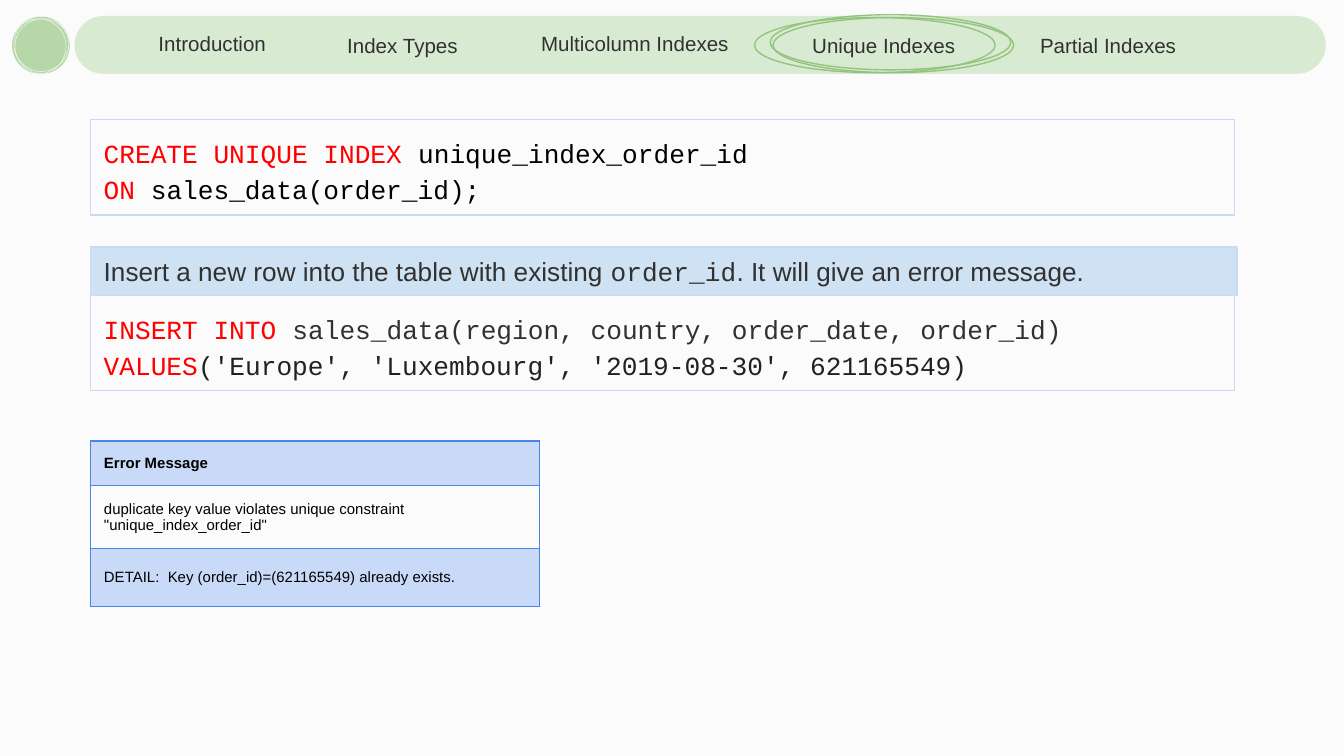
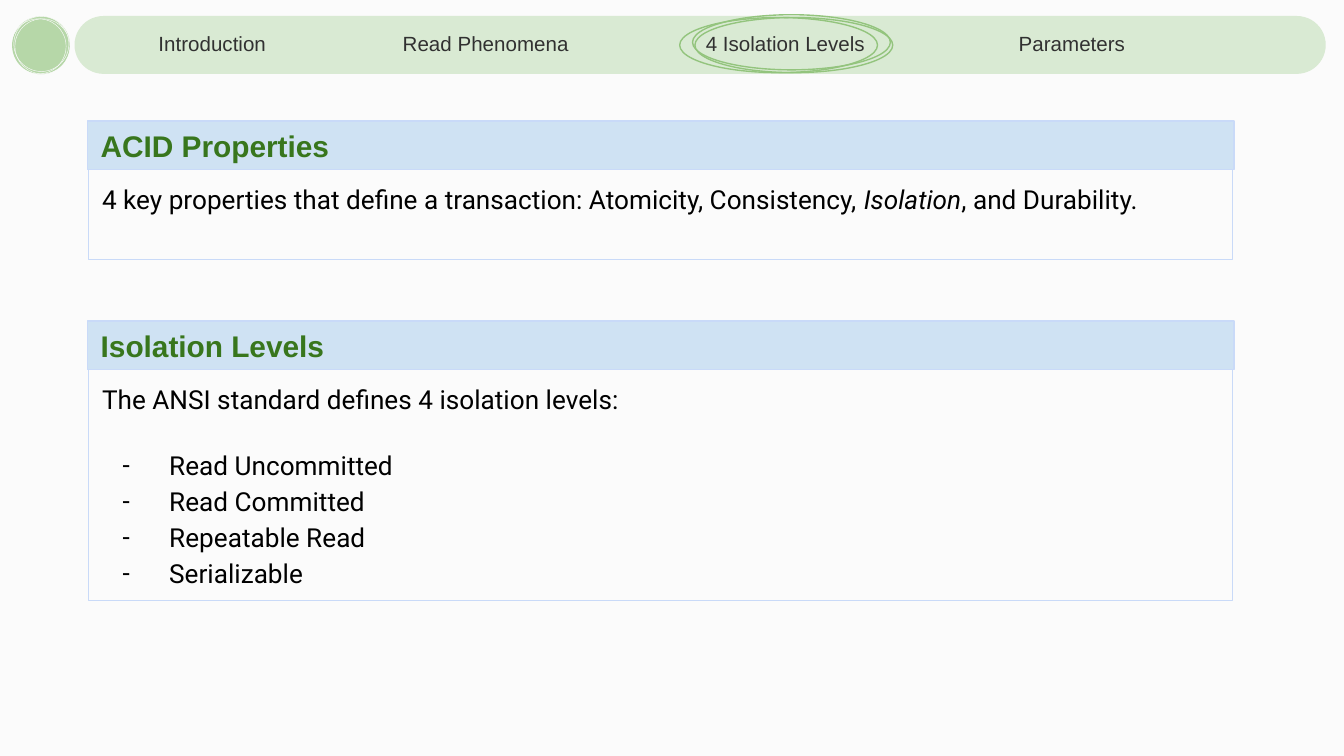
from dataclasses import dataclass
from typing import Optional

from lxml import etree
from pptx import Presentation
from pptx.dml.color import RGBColor
from pptx.enum.shapes import MSO_SHAPE
from pptx.enum.text import MSO_ANCHOR, MSO_AUTO_SIZE, PP_ALIGN
from pptx.oxml.ns import qn
from pptx.util import Pt

RECTANGLE = MSO_SHAPE.RECTANGLE
ROUNDED = MSO_SHAPE.ROUNDED_RECTANGLE
OVAL = MSO_SHAPE.OVAL
TOP, MIDDLE = MSO_ANCHOR.TOP, MSO_ANCHOR.MIDDLE
LEFT, CENTER, JUSTIFY = PP_ALIGN.LEFT, PP_ALIGN.CENTER, PP_ALIGN.JUSTIFY

PAPER = "FBFBFB"
BLACK = "000000"
DARK = "313131"
CODE_DARK = "212121"
KEYWORD = "FF0000"
TITLE_GREEN = "38761D"
BAR_GREEN = "D9EAD3"
DISC_GREEN = "B6D7A8"
RING_GREEN = "93C47D"
BAND_BLUE = "CFE2F3"
EDGE_BLUE = "C9DAF8"
TABLE_BLUE = "4A86E8"

SANS, MONO, BODY = "Arial", "Courier New", "Roboto"
INSET = 7.2
CODE_SPACING = 1.15


@dataclass(frozen=True)
class Area:
    left: float
    top: float
    width: float
    height: float

    def lengths(self) -> list:
        return [Pt(n) for n in (self.left, self.top, self.width, self.height)]


@dataclass(frozen=True)
class Span:
    text: str
    color: str = BLACK
    font: str = BODY
    size: float = 14
    bold: bool = False
    italic: bool = False


@dataclass(frozen=True)
class Line:
    spans: tuple
    align: PP_ALIGN = LEFT
    spacing: Optional[float] = None
    before: Optional[float] = None
    bullet: Optional[str] = None


@dataclass(frozen=True)
class Tab:
    text: str
    left: float
    width: float
    top: float = 15.8
    align: PP_ALIGN = CENTER


INTRODUCTION = Tab("Introduction", 77.8, 114.5, align=LEFT)


def rgb(color: str) -> RGBColor:
    return RGBColor.from_string(color)


def add_span(para, text: str, *, color: str, font: str, size: float,
             bold: bool = False, italic: bool = False) -> None:
    span = para.add_run()
    span.text = text
    span.font.name = font
    span.font.size = Pt(size)
    span.font.bold = bold
    span.font.italic = italic
    span.font.color.rgb = rgb(color)


def set_bullet(para, mark: str) -> None:
    """Give a paragraph a black text bullet with a hanging indent."""
    props = para._p.get_or_add_pPr()
    props.set("marL", str(Pt(36)))
    props.set("indent", str(-Pt(25)))
    color = etree.SubElement(props, qn("a:buClr"))
    etree.SubElement(color, qn("a:srgbClr")).set("val", BLACK)
    etree.SubElement(props, qn("a:buFont")).set("typeface", BODY)
    etree.SubElement(props, qn("a:buChar")).set("char", mark)


def write(frame, lines: list, anchor: MSO_ANCHOR = MIDDLE,
          right: float = INSET) -> None:
    frame.word_wrap = True
    frame.vertical_anchor = anchor
    frame.margin_left = frame.margin_top = frame.margin_bottom = Pt(INSET)
    frame.margin_right = Pt(right)
    for index, line in enumerate(lines):
        para = frame.add_paragraph() if index else frame.paragraphs[0]
        para.alignment = line.align
        if line.spacing is not None:
            para.line_spacing = line.spacing
        if line.before is not None:
            para.space_before = Pt(line.before)
        if line.bullet:
            set_bullet(para, line.bullet)
        for span in line.spans:
            add_span(para, span.text, color=span.color, font=span.font,
                     size=span.size, bold=span.bold, italic=span.italic)


def add_figure(page, kind: MSO_SHAPE, area: Area, fill: Optional[str] = None,
               edge: Optional[str] = None, weight: float = 0.75):
    figure = page.shapes.add_shape(kind, *area.lengths())
    figure.shadow.inherit = False
    if fill:
        figure.fill.solid()
        figure.fill.fore_color.rgb = rgb(fill)
    else:
        figure.fill.background()
    if edge:
        figure.line.color.rgb = rgb(edge)
        figure.line.width = Pt(weight)
    else:
        figure.line.fill.background()
    return figure


def add_band(page, area: Area, *spans: Span) -> None:
    band = add_figure(page, RECTANGLE, area, BAND_BLUE, EDGE_BLUE)
    write(band.text_frame, [Line(spans)], right=0)


def add_panel(page, area: Area, lines: list) -> None:
    panel = add_figure(page, RECTANGLE, area, edge=EDGE_BLUE)
    write(panel.text_frame, lines, TOP)
    panel.text_frame.auto_size = MSO_AUTO_SIZE.SHAPE_TO_FIT_TEXT


def add_section(page, top: float, title: str, height: float,
                lines: list) -> None:
    """Draw a titled band with its text panel below."""
    add_band(page, Area(46.9, top, 614.2, 26),
             Span(title, TITLE_GREEN, SANS, 16, bold=True))
    add_panel(page, Area(47.6, top + 26, 612.8, height), lines)


def add_navigation(page, tabs: list, ring_left: float,
                   ring_width: float) -> None:
    # Disc with fine rings
    add_figure(page, OVAL, Area(6.5, 8.8, 31, 31), DISC_GREEN)
    for left, top in ((7.4, 8.8), (5.9, 10.1), (8, 10.1)):
        add_figure(page, OVAL, Area(left, top, 29.5, 29.5),
                   edge=PAPER, weight=0.23)
    # Bar and its tabs
    bar = add_figure(page, ROUNDED, Area(39.9, 8.6, 670.3, 31), BAR_GREEN)
    bar.adjustments[0] = 0.5
    for tab in tabs:
        area = Area(tab.left, tab.top, tab.width, 15.1)
        box = page.shapes.add_textbox(*area.lengths())
        write(box.text_frame,
              [Line((Span(tab.text, DARK, SANS, 11),), tab.align)])
    # Loose rings around the current tab
    for shift, top in ((0.065, 7.9), (0, 9.4), (0.077, 9.4)):
        add_figure(page, OVAL, Area(ring_left + shift * ring_width, top,
                                    ring_width, 29.5), edge=RING_GREEN)


def set_borders(cell, color: str, weight: float) -> None:
    props = cell._tc.get_or_add_tcPr()
    for index, side in enumerate(("lnL", "lnR", "lnT", "lnB")):
        border = etree.Element(qn(f"a:{side}"), w=str(Pt(weight)))
        fill = etree.SubElement(border, qn("a:solidFill"))
        etree.SubElement(fill, qn("a:srgbClr")).set("val", color)
        props.insert(index, border)


def add_error_table(page, left: float, top: float, width: float,
                    rows: list) -> None:
    area = Area(left, top, width, sum(height for _, height in rows))
    table = page.shapes.add_table(len(rows), 1, *area.lengths()).table
    table.first_row = table.horz_banding = False
    for index, (text, height) in enumerate(rows):
        table.rows[index].height = Pt(height)
        cell = table.cell(index, 0)
        write(cell.text_frame,
              [Line((Span(text, font=SANS, size=8, bold=index == 0),))])
        cell.vertical_anchor = MIDDLE
        cell.margin_left = cell.margin_right = Pt(INSET)
        cell.margin_top = cell.margin_bottom = Pt(INSET)
        if index % 2:
            cell.fill.background()
        else:
            cell.fill.solid()
            cell.fill.fore_color.rgb = rgb(EDGE_BLUE)
        set_borders(cell, TABLE_BLUE, 0.75)


def code_line(keyword: str, rest: str, color: str = BLACK,
              align: PP_ALIGN = LEFT) -> Line:
    spans = (Span(keyword, KEYWORD, MONO), Span(rest, color, MONO))
    return Line(spans, align, CODE_SPACING)


def add_page(deck):
    page = deck.slides.add_slide(deck.slide_layouts[6])
    page.background.fill.solid()
    page.background.fill.fore_color.rgb = rgb(PAPER)
    return page


def build_unique_indexes(deck) -> None:
    page = add_page(deck)
    add_panel(page, Area(48.5, 64, 612.8, 51.1), [
        code_line("CREATE UNIQUE INDEX", " unique_index_order_id",
                  align=JUSTIFY),
        code_line("ON", " sales_data(order_id);", align=JUSTIFY),
    ])
    add_panel(page, Area(48.5, 158.3, 612.8, 51.1), [
        code_line("INSERT INTO ",
                  "sales_data(region, country, order_date, order_id)", DARK),
        code_line("VALUES",
                  "('Europe', 'Luxembourg', '2019-08-30', 621165549)",
                  CODE_DARK),
    ])
    add_band(page, Area(48.5, 132.3, 614.2, 26),
             Span("Insert a new row into the table with existing ", DARK, SANS),
             Span("order_id", DARK, MONO),
             Span(". It will give an error message.", DARK, SANS))
    add_error_table(page, 48.5, 236.3, 240.5, [
        ("Error Message", 20.2),
        ('duplicate key value violates unique constraint '
         '"unique_index_order_id"', 21.6),
        ("DETAIL:  Key (order_id)=(621165549) already exists.", 31),
    ])
    add_navigation(page, [
        INTRODUCTION,
        Tab("Index Types", 169.2, 92.9, 16.6),
        Tab("Multicolumn Indexes", 276.5, 127.4),
        Tab("Unique Indexes", 416.2, 114.5, 16.6),
        Tab("Partial Indexes", 536.4, 114.5, 16.6),
    ], 404.2, 128.9)


def build_isolation_levels(deck) -> None:
    page = add_page(deck)
    add_section(page, 64.8, "ACID Properties", 48.3, [
        Line((Span("4 key properties that define a transaction: "
                   "Atomicity, Consistency, "),
              Span("Isolation", italic=True),
              Span(", and Durability.")), JUSTIFY),
    ])
    levels = ("Read Uncommitted", "Read Committed", "Repeatable Read",
              "Serializable")
    add_section(page, 172, "Isolation Levels", 123.9, [
        Line((Span("The ANSI standard defines 4 isolation levels:"),), JUSTIFY),
        *(Line((Span(level),), JUSTIFY, CODE_SPACING,
               before=0 if index else 16.4, bullet="-")
          for index, level in enumerate(levels)),
    ])
    add_navigation(page, [
        INTRODUCTION,
        Tab("Read Phenomena", 206.6, 107.3),
        Tab("4 Isolation Levels", 357.1, 127.4),
        Tab("Parameters", 517, 114.5),
    ], 364.1, 106)


def main() -> None:
    deck = Presentation()
    deck.slide_width, deck.slide_height = Pt(720), Pt(405)
    build_unique_indexes(deck)
    build_isolation_levels(deck)
    deck.save("out.pptx")


if __name__ == "__main__":
    main()
